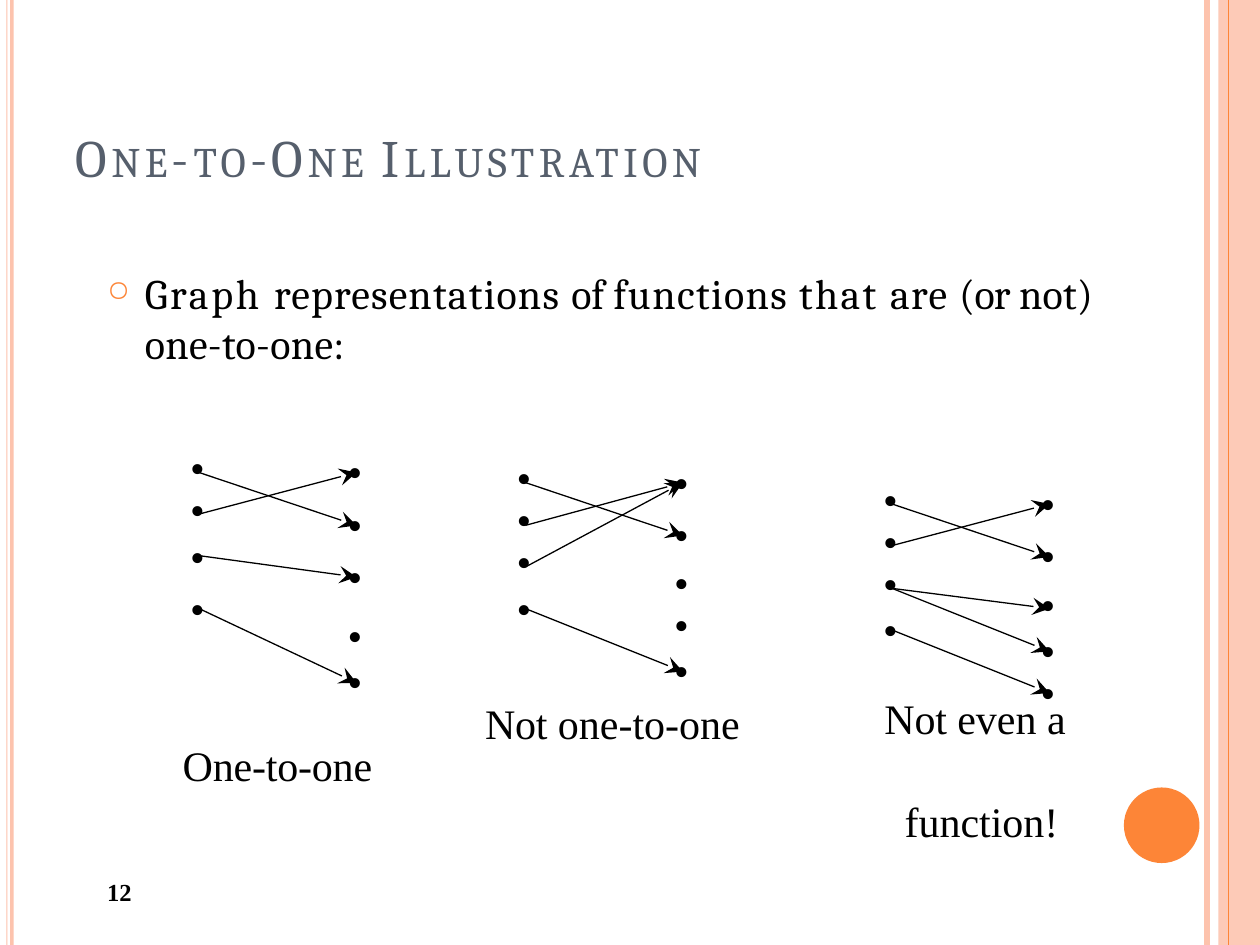
from lxml import etree
from pptx import Presentation
from pptx.dml.color import RGBColor
from pptx.enum.shapes import MSO_CONNECTOR, MSO_SHAPE
from pptx.oxml.ns import qn
from pptx.util import Inches, Pt

RECT, OVAL = MSO_SHAPE.RECTANGLE, MSO_SHAPE.OVAL
STRAIGHT = MSO_CONNECTOR.STRAIGHT
SERIF, TIMES = "Cambria", "Times New Roman"
PEACH, ORANGE, SLATE, BLACK = "FDC3AD", "FD8537", "565F6C", "000000"
rgb = RGBColor.from_string

deck = Presentation()
deck.slide_width, deck.slide_height = Inches(10), Inches(7.5)
slide = deck.slides.add_slide(deck.slide_layouts[6])
shapes = slide.shapes


def write(left, top, width, height, paras, font=TIMES, color=BLACK, bold=False):
    """Each paragraph: (space before, exact line height or None, runs of (text, size, tracking))."""
    box = shapes.add_textbox(Inches(left), Inches(top), Inches(width), Inches(height))
    frame = box.text_frame
    frame.word_wrap = True
    frame.margin_left = frame.margin_right = frame.margin_bottom = 0
    frame.margin_top = Inches(0.01)
    for i, (before, pitch, runs) in enumerate(paras):
        para = frame.paragraphs[0] if i == 0 else frame.add_paragraph()
        para.space_before = Pt(before)
        if pitch:
            para.line_spacing = Pt(pitch)
        para._p.get_or_add_pPr().set("marL", str(Inches(0.01)))
        for words, size, track in runs:
            run = para.add_run()
            run.text = words
            run.font.name, run.font.size, run.font.bold = font, Pt(size), bold
            run.font.color.rgb = rgb(color)
            run._r.get_or_add_rPr().set("spc", str(round(track * 100)))
    return frame


def rule(x1, y1, x2, y2, color, width, arrow=False):
    line = shapes.add_connector(STRAIGHT, Inches(x1), Inches(y1), Inches(x2), Inches(y2))
    line.line.color.rgb = rgb(color)
    line.line.width = Pt(width)
    if arrow:
        head = etree.SubElement(line.line._get_or_add_ln(), qn("a:tailEnd"))
        for key, val in (("type", "stealth"), ("w", "lg"), ("len", "lg")):
            head.set(key, val)
    etree.SubElement(line._element.spPr, qn("a:effectLst"))


# Side stripes and the disc
rule(9.58, 0, 9.58, 7.5, PEACH, 3)
for kind, left, top, width, height, color, alpha in (
    (OVAL, 8.92, 6.25, 0.6, 0.6, ORANGE, 100),
    (RECT, 0.05, 0, 0.01, 7.5, PEACH, 100),
    (RECT, 0.08, 0, 0.03, 7.5, PEACH, 100),
    (RECT, 9.67, 0, 0.33, 7.5, PEACH, 87),
):
    shape = shapes.add_shape(kind, Inches(left), Inches(top), Inches(width), Inches(height))
    shape.shadow.inherit = False
    shape.fill.solid()
    shape.fill.fore_color.rgb = rgb(color)
    shape.line.fill.background()
    if alpha < 100:
        tint = shape._element.spPr.find(".//" + qn("a:srgbClr"))
        etree.SubElement(tint, qn("a:alpha")).set("val", str(alpha * 1000))
rule(9.75, 0, 9.75, 7.5, ORANGE, 0.75)

# Title in small capitals
title = [("O", 30, 2.5), ("NE", 24, 2.5), ("-", 30, 2.5), ("TO", 24, 2.5), ("-O", 30, 2.5),
         ("NE ", 24, 2.5), ("I", 30, 2.6), ("LLUSTRATION", 24, 2.6)]
write(0.59, 0.98, 5.26, 0.53, [(1, None, title)], SERIF, SLATE)

# Lead sentence with its ring bullet
lead = [("Graph ", 1.6), ("representations ", 0.7), ("of ", -0.1), ("functions ", 0.8),
        ("that ", 1.3), ("are ", 0.8), ("(or ", -0.4), ("not) ", 0.1), ("one-to-one:", 0.2)]
body = write(0.84, 2.11, 8.26, 0.83, [(1, None, [(t, 24, s) for t, s in lead])], SERIF)
props = body.paragraphs[0]._p.get_or_add_pPr()
props.set("marL", str(Inches(0.31)))
props.set("indent", str(Inches(-0.3)))
tone = etree.SubElement(props, qn("a:buClr"))
etree.SubElement(tone, qn("a:srgbClr")).set("val", ORANGE)
etree.SubElement(props, qn("a:buSzPct")).set("val", "69000")
etree.SubElement(props, qn("a:buChar")).set("char", "○")

# Page number
write(0.84, 6.95, 0.3, 0.26, [(1, None, [("12", 14, 0.1)])], bold=True)

# Dot columns: left, top, height, (space before, line height) of each dot
for left, top, height, dots in (
    (1.5, 3.53, 1.51, [(1, 26.4), (0, 24), (0, 26.4), (1.2, None)]),
    (2.75, 3.53, 2.1, [(1, None), (1.2, None), (1.2, None), (7.2, 26.4), (0, 26.4)]),
    (4.09, 3.61, 1.43, [(1, 26.4), (0, 24), (0, 24), (0, 26.4)]),
    (5.34, 3.61, 1.93, [(1, None), (1.2, None), (1.2, 26.4), (0, 24), (0, 26.4)]),
    (7, 3.78, 1.43, [(1, 26.4), (0, 24), (0, 24), (0, 26.4)]),
    (8.25, 3.78, 1.6, [(1, None), (1.2, None), (1.2, 26.4), (0, 26.4)]),
    (8.25, 5.28, 0.43, [(1, None)]),
):
    write(left, top, 0.15, height, [(b, p, [("•", 24, 0)]) for b, p in dots])

# Arrows of each graph: left edge, (start height, end height)
for left, pairs in (
    (1.58, [(3.75, 4.17), (4.08, 3.75), (4.41, 4.58), (4.83, 5.42)]),
    (4.17, [(3.83, 4.25), (4.17, 3.83), (4.5, 3.83), (4.83, 5.33)]),
    (7.08, [(4, 4.42), (4.33, 4), (4.67, 4.83), (4.67, 5.17), (5, 5.5)]),
):
    for start, end in pairs:
        rule(left, start, left + 1.25, end, BLACK, 0.75, arrow=True)

# Captions
write(1.44, 5.86, 1.55, 0.43, [(1, None, [("One-to-one", 24, -0.1)])])
write(3.84, 5.53, 2.06, 0.43, [(1, None, [("Not ", 24, -0.1), ("one-to-one", 24, 0)])])
note = write(7.01, 5.49, 1.47, 0.83, [
    (1, None, [("Not ", 24, -0.1), ("even a", 24, 0)]),
    (30, None, [("function!", 24, 0)]),
])
note.paragraphs[1]._p.get_or_add_pPr().set("marL", str(Inches(0.17)))

deck.save("out.pptx")
